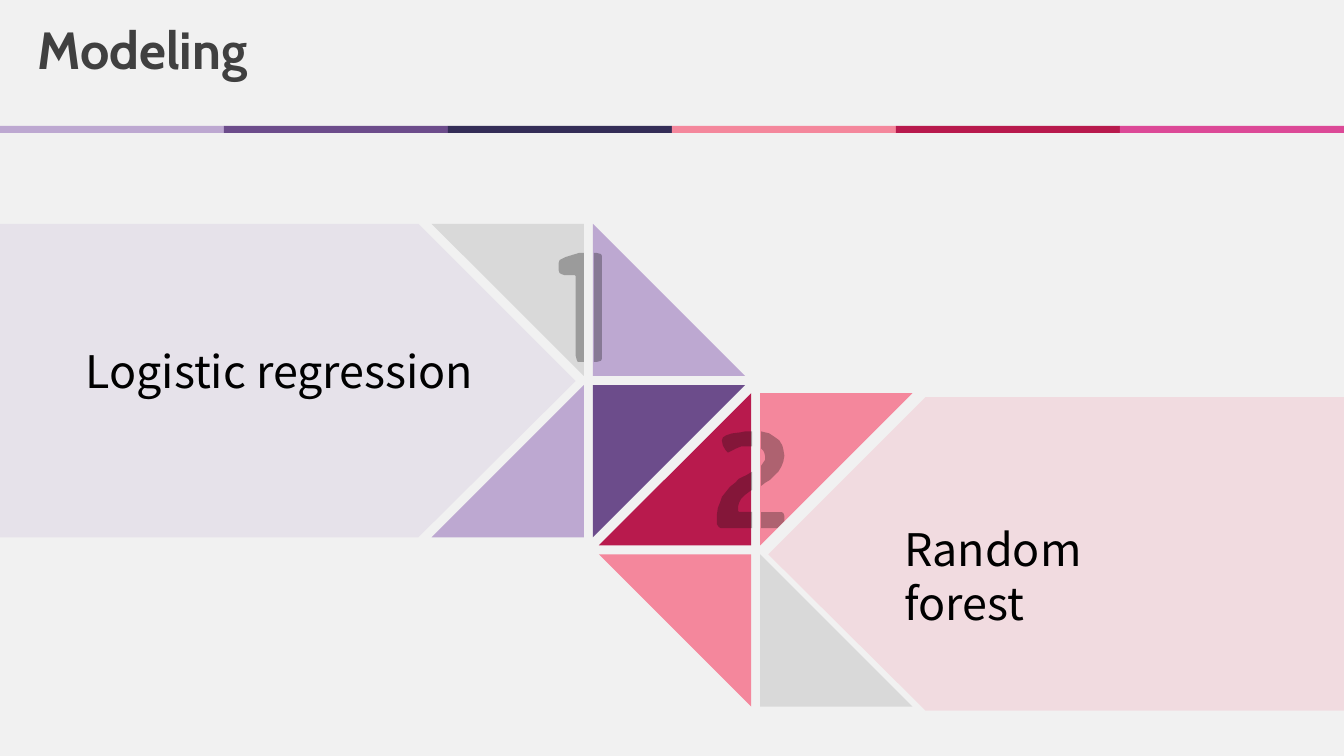
import dataclasses
import typing

import lxml.etree
import pptx
import pptx.dml.color
import pptx.enum.shapes
import pptx.enum.text
import pptx.oxml.ns
import pptx.util

# Grid: 1333 columns by 750 rows of square cells
COLS, ROWS = 1333, 750
CELL = pptx.util.Inches(0.01)

HUES = {
    "back": "F1F1F1", "lilac": "BDA8D1", "purple": "6C4C8B", "navy": "342D57",
    "pink": "F4879C", "red": "B81A4D", "rose": "DC4997", "gray": "D9D9D9",
    "dark": "404040", "ink": "0D0D0D", "black": "000000",
}
BANDS = ["lilac", "purple", "navy", "pink", "red", "rose"]
SIDE, GAP = 151, 9         # legs of a triangle, gap between two of them
TALL, SLOPE = 311, 156     # height of a panel, depth of its point

Point = tuple[float, float]


@dataclasses.dataclass
class Panel:
    edge: int      # column of the flat side
    tip: int       # column of the point
    top: int
    hue: str


@dataclasses.dataclass
class Wheel:
    left: int
    top: int
    tiles: dict[Point, tuple[Point, str]]    # (column, row): (cut corner, hue)


@dataclasses.dataclass
class Label:
    text: str
    left: int
    top: int
    width: int


PANELS = [Panel(COLS, 762, 394, "pink"), Panel(0, 571, 222, "lilac")]
WHEELS = [
    Wheel(428, 222, {(0, 0): ((0, 1), "gray"), (1, 0): ((1, 0), "lilac"),
                     (0, 1): ((0, 0), "lilac"), (1, 1): ((1, 1), "purple")}),
    Wheel(594, 390, {(0, 0): ((0, 0), "red"), (1, 0): ((1, 1), "pink"),
                     (0, 1): ((0, 1), "pink"), (1, 1): ((1, 0), "gray")}),
]
LABELS = [Label("Logistic regression", 75, 336, 496),
          Label("Random forest", 887, 513, 310)]

# Outlines of the split numerals 1 and 2
ONE = [
    [(579, 251), (574, 251), (561, 255), (557, 257), (555, 258), (554, 261),
     (554, 268), (555, 271), (557, 272), (560, 273), (570, 273), (571, 274),
     (571, 353), (572, 357), (573, 359), (579, 359)],
    [(589, 251), (592, 251), (596, 252), (597, 254), (597, 356), (596, 358),
     (592, 359), (589, 359)],
]
TWO = [
    [(755, 508), (775, 508), (777, 509), (778, 512), (778, 517), (771, 524),
     (755, 524)],
    [(755, 428), (759, 429), (763, 430), (769, 434), (773, 437), (776, 442),
     (777, 446), (778, 452), (777, 458), (775, 463), (772, 468), (768, 472),
     (764, 476), (759, 479), (755, 482), (755, 462), (757, 459), (759, 456),
     (759, 453), (758, 449), (757, 447), (755, 445)],
    [(746, 468), (741, 471), (733, 475), (729, 479), (724, 483), (720, 488),
     (716, 493), (714, 499), (712, 504), (711, 511), (711, 520), (713, 523),
     (715, 524), (746, 524), (746, 508), (733, 508), (732, 507), (732, 503),
     (733, 499), (735, 495), (739, 491), (743, 488), (746, 486)],
    [(746, 428), (739, 428), (734, 429), (726, 430), (720, 432), (717, 434),
     (716, 437), (717, 442), (720, 447), (722, 449), (726, 447), (730, 445),
     (735, 443), (742, 443), (746, 443)],
]


def tint(hue: str) -> pptx.dml.color.RGBColor:
    return pptx.dml.color.RGBColor.from_string(HUES[hue])


def paint(shape: typing.Any, hue: str, share: int = 100) -> None:
    """Fill a shape plainly; share is its opacity in percent."""
    shape.shadow.inherit = False
    shape.line.fill.background()
    shape.fill.solid()
    shape.fill.fore_color.rgb = tint(hue)
    if share < 100:
        qn = pptx.oxml.ns.qn
        color = shape.fill.fore_color._xFill.find(qn("a:srgbClr"))
        lxml.etree.SubElement(color, qn("a:alpha"), val=str(share * 1000))


def trace(slide: typing.Any, points: list[Point], hue: str, share: int = 100) -> None:
    pen = slide.shapes.build_freeform(*points[0], scale=CELL)
    pen.add_line_segments(points[1:], close=True)
    paint(pen.convert_to_shape(), hue, share)


def write(frame: typing.Any, text: str, hue: str, form: dict[str, typing.Any]) -> None:
    frame.text = text
    line = frame.paragraphs[0]
    line.alignment = pptx.enum.text.PP_ALIGN.LEFT
    font = line.runs[0].font
    font.color.rgb = tint(hue)
    for key, value in form.items():
        setattr(font, key, value)


def draw_title(slide: typing.Any) -> None:
    title = slide.shapes.title
    spot = {"left": 37, "top": 17, "width": 1218, "height": 61}
    for key, cells in spot.items():
        setattr(title, key, cells * CELL)
    frame = title.text_frame
    form = {"margin_left": 0, "margin_top": 0, "margin_right": 0, "margin_bottom": 0,
            "word_wrap": True, "auto_size": pptx.enum.text.MSO_AUTO_SIZE.NONE,
            "vertical_anchor": pptx.enum.text.MSO_ANCHOR.TOP}
    for key, value in form.items():
        setattr(frame, key, value)
    write(frame, "Modeling", "dark",
          {"name": "Cabin", "size": pptx.util.Pt(37.3), "bold": True})


def draw_bands(slide: typing.Any) -> None:
    wide = COLS * CELL // len(BANDS)
    for i, hue in enumerate(BANDS):
        band = slide.shapes.add_shape(pptx.enum.shapes.MSO_SHAPE.RECTANGLE,
                                      i * wide, 125 * CELL, wide, 7 * CELL)
        paint(band, hue)


def draw_panel(slide: typing.Any, panel: Panel) -> None:
    bend = panel.tip + (SLOPE if panel.edge > panel.tip else -SLOPE)
    low = panel.top + TALL
    trace(slide, [(panel.edge, panel.top), (bend, panel.top),
                  (panel.tip, panel.top + TALL / 2), (bend, low),
                  (panel.edge, low)], panel.hue, 20)


def draw_wheel(slide: typing.Any, wheel: Wheel) -> None:
    for (col, row), (cut, hue) in wheel.tiles.items():
        x = wheel.left + col * (SIDE + GAP)
        y = wheel.top + row * (SIDE + GAP)
        trace(slide, [(x + a * SIDE, y + b * SIDE)
                      for a in (0, 1) for b in (0, 1) if (a, b) != cut], hue)


def draw_label(slide: typing.Any, label: Label) -> None:
    box = slide.shapes.add_textbox(label.left * CELL, label.top * CELL,
                                   label.width * CELL, 64 * CELL)
    box.text_frame.word_wrap = True
    write(box.text_frame, label.text, "black",
          {"name": "Noto Sans CJK KR", "size": pptx.util.Pt(32)})


def main() -> None:
    deck = pptx.Presentation()
    deck.slide_width, deck.slide_height = COLS * CELL, ROWS * CELL
    slide = deck.slides.add_slide(deck.slide_layouts.get_by_name("Title Only"))
    slide.background.fill.solid()
    slide.background.fill.fore_color.rgb = tint("back")

    # Header
    draw_title(slide)
    draw_bands(slide)

    # Panels, wheels and their numerals
    for panel in PANELS:
        draw_panel(slide, panel)
    for wheel, digit in zip(WHEELS, (ONE, TWO)):
        draw_wheel(slide, wheel)
        for part in digit:
            trace(slide, part, "ink", 30)

    # Names of the models
    for label in LABELS:
        draw_label(slide, label)

    deck.save("out.pptx")


if __name__ == "__main__":
    main()
